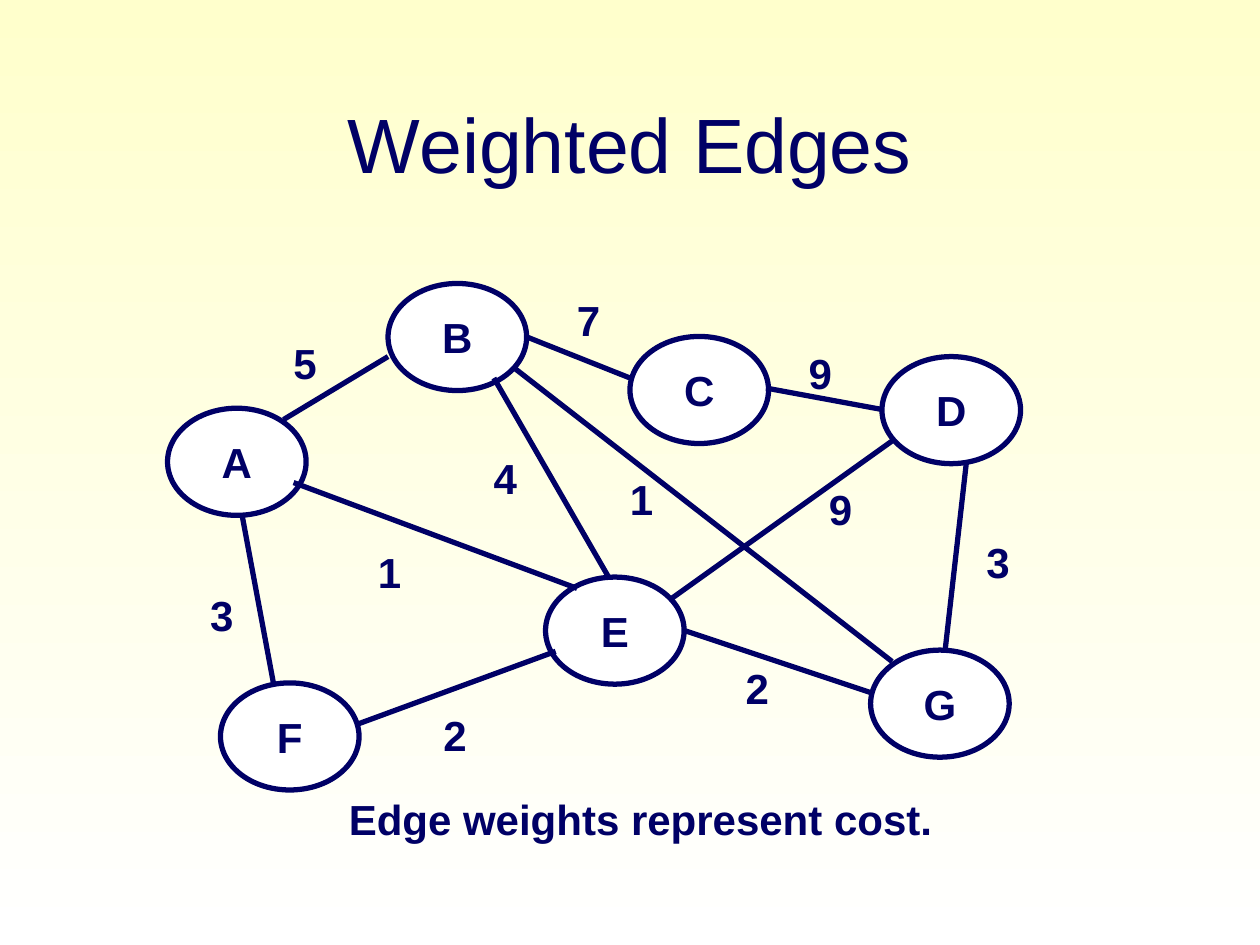
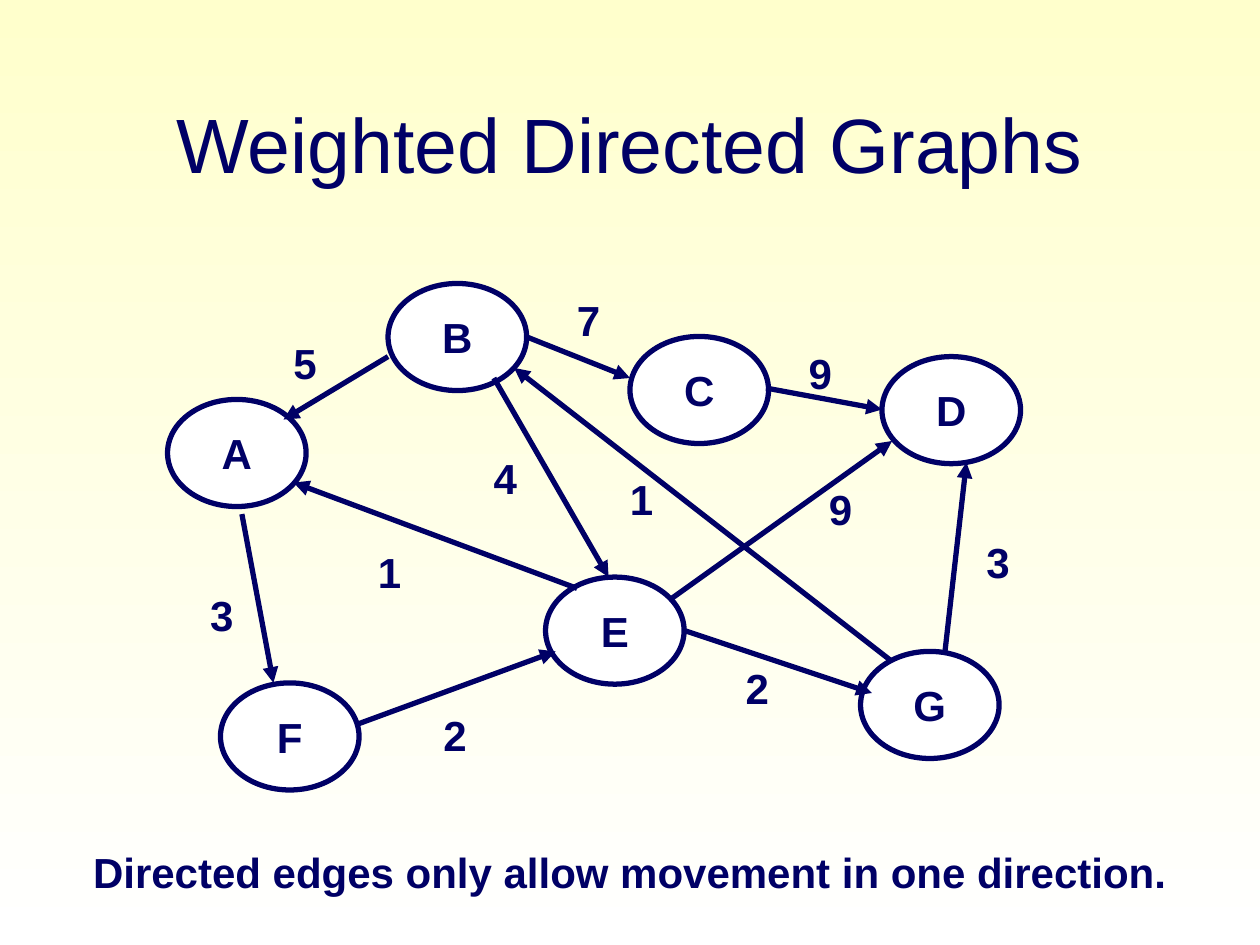
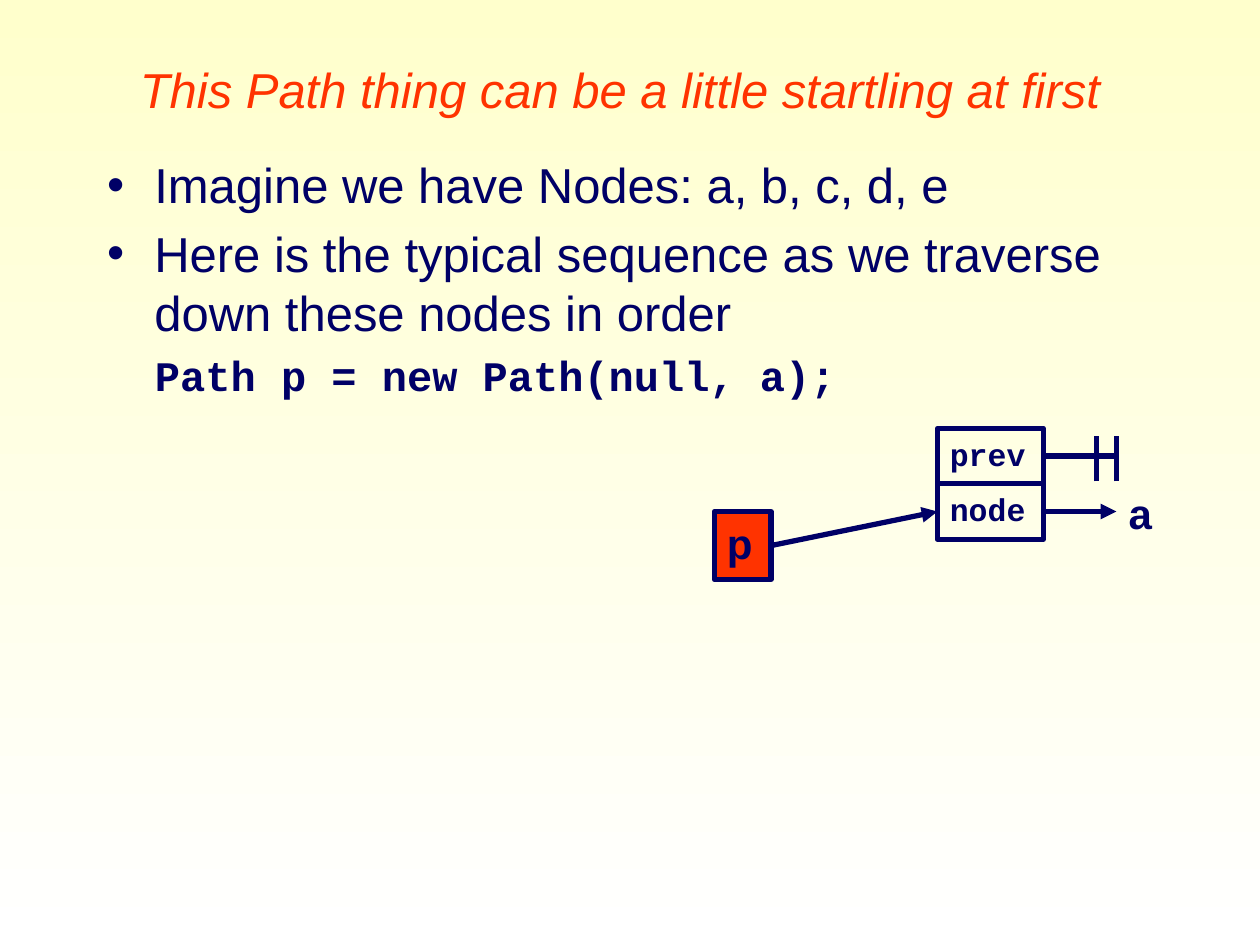
"""Build three slides on weighted graphs and path nodes."""
from dataclasses import dataclass

from lxml import etree
from pptx import Presentation
from pptx.dml.color import RGBColor
from pptx.enum.shapes import MSO_CONNECTOR, MSO_SHAPE
from pptx.enum.text import MSO_ANCHOR, MSO_AUTO_SIZE, PP_ALIGN
from pptx.oxml.ns import qn
from pptx.util import Inches, Pt

STRAIGHT = MSO_CONNECTOR.STRAIGHT
OVAL, RECTANGLE = MSO_SHAPE.OVAL, MSO_SHAPE.RECTANGLE
TOP, MIDDLE = MSO_ANCHOR.TOP, MSO_ANCHOR.MIDDLE
NO_FIT, GROW = MSO_AUTO_SIZE.NONE, MSO_AUTO_SIZE.SHAPE_TO_FIT_TEXT
LEFT, CENTER = PP_ALIGN.LEFT, PP_ALIGN.CENTER
LEFT_SIDE, RIGHT_SIDE = 1, 3
TITLE_AND_BODY, TITLE_ONLY = 1, 5


@dataclass(frozen=True)
class Theme:
    """Colours, fonts and sizes shared by the slides."""

    ink: RGBColor = RGBColor(0x00, 0x00, 0x66)
    accent: RGBColor = RGBColor(0xFF, 0x33, 0x00)
    cream: RGBColor = RGBColor(0xFF, 0xFF, 0xCC)
    white: RGBColor = RGBColor(0xFF, 0xFF, 0xFF)
    sans: str = "Arial"
    mono: str = "Courier New"
    title: int = 44
    body: int = 28
    label: int = 24
    field: int = 18
    stroke: int = 3


THEME = Theme()
TITLE_BOX = (0.75, 0.67, 8.5, 0.92)
GRAPH_ORIGIN = (1, 2)
NODE_SIZE = (1.1, 0.85)
LABEL_SIZE = (0.39, 0.5)
NODES = {
    "B": (2.08, 0.25), "F": (0.75, 3.42), "C": (4, 0.67), "A": (0.33, 1.24),
    "E": (3.33, 2.58), "G": (5.91, 3.16), "D": (6, 0.83),
}
DIRECTED_NODES = {**NODES, "A": (0.33, 1.17), "G": (5.83, 3.17)}
EDGES = [
    ((0.92, 2.08), (1.17, 3.42), "3", (0.57, 2.63)),
    ((1.83, 3.75), (3.41, 3.17), "2", (2.42, 3.58)),
    ((3.58, 2.67), (1.33, 1.83), "1", (1.9, 2.29)),
    ((2.08, 0.83), (1.25, 1.33), "5", (1.23, 0.63)),
    ((2.92, 1), (3.83, 2.58), "4", (2.82, 1.54)),
    ((4.42, 3), (5.92, 3.5), "2", (4.82, 3.21)),
    ((6.08, 3.25), (3.08, 0.92), "1", (3.9, 1.71)),
    ((4.33, 2.75), (6.08, 1.5), "9", (5.48, 1.79)),
    ((5.08, 1.08), (6, 1.25), "9", (5.32, 0.71)),
    ((6.5, 3.17), (6.67, 1.67), "3", (6.73, 2.21)),
    ((3.17, 0.67), (4, 1), "7", (3.48, 0.29)),
]


def shift(origin, point):
    """Return a point placed relative to an origin."""
    return origin[0] + point[0], origin[1] + point[1]


def inches(*values):
    """Convert several numbers to lengths."""
    return [Inches(value) for value in values]


def add_span(para, text, size, color=THEME.ink, font=THEME.sans, bold=False, italic=False):
    """Add one formatted run to a paragraph."""
    span = para.add_run()
    span.text = text
    span.font.name, span.font.size = font, Pt(size)
    span.font.bold, span.font.italic = bold, italic
    span.font.color.rgb = color


def add_label(page, text, place, size=LABEL_SIZE):
    """Add a bold unwrapped text box."""
    box = page.shapes.add_textbox(*inches(*place, *size))
    box.text_frame.word_wrap = False
    box.text_frame.auto_size = GROW
    add_span(box.text_frame.paragraphs[0], text, THEME.label, bold=True)


def add_box(page, kind, text, place, size, fill=None, font=THEME.sans,
            text_size=THEME.label, align=LEFT, anchor=TOP):
    """Add an outlined shape holding a bold label."""
    box = page.shapes.add_shape(kind, *inches(*place, *size))
    box.shadow.inherit = False
    if fill is None:
        box.fill.background()
    else:
        box.fill.solid()
        box.fill.fore_color.rgb = fill
    box.line.color.rgb, box.line.width = THEME.ink, Pt(THEME.stroke)
    frame = box.text_frame
    frame.word_wrap, frame.vertical_anchor = False, anchor
    para = frame.paragraphs[0]
    para.alignment = align
    add_span(para, text, text_size, font=font, bold=True)
    return box


def add_line(page, start, end, arrow=False):
    """Add a straight line with an optional arrowhead at its end."""
    line = page.shapes.add_connector(STRAIGHT, *inches(*start, *end))
    line.line.color.rgb, line.line.width = THEME.ink, Pt(THEME.stroke)
    properties = line._element.spPr
    if arrow:
        etree.SubElement(properties.find(qn("a:ln")), qn("a:tailEnd"), type="triangle")
    etree.SubElement(properties, qn("a:effectLst"))
    return line


def place_holder(holder, box, anchor):
    """Move a placeholder and return its text frame."""
    holder.left, holder.top, holder.width, holder.height = inches(*box)
    frame = holder.text_frame
    frame.auto_size, frame.vertical_anchor = NO_FIT, anchor
    return frame


def set_title(page, text, box=TITLE_BOX, wrap=True, **style):
    """Fill the title placeholder."""
    frame = place_holder(page.shapes.title, box, MIDDLE)
    frame.word_wrap = wrap
    para = frame.paragraphs[0]
    para.alignment = CENTER
    add_span(para, text, **{"size": THEME.title, **style})


def draw_graph(page, origin, nodes, directed):
    """Draw the nodes, edges and edge weights."""
    for name, place in nodes.items():
        add_box(page, OVAL, name, shift(origin, place), NODE_SIZE, THEME.white,
                align=CENTER, anchor=MIDDLE)
    for start, end, _, _ in EDGES:
        add_line(page, shift(origin, start), shift(origin, end), directed)
    for _, _, weight, place in EDGES:
        add_label(page, weight, shift(origin, place))


def draw_list(page, box):
    """Fill the body placeholder with two bullets and a line of code."""
    frame = place_holder(page.placeholders[1], box, TOP)
    first = frame.paragraphs[0]
    first.space_before = Pt(0)
    add_span(first, "Imagine we have Nodes: a, b, c, d, e", THEME.body)
    add_span(frame.add_paragraph(),
             "Here is the typical sequence as we traverse down these nodes in order",
             THEME.body)
    code = frame.add_paragraph()
    properties = code._p.get_or_add_pPr()
    properties.set("marL", str(Inches(0.38)))
    properties.set("indent", "0")
    etree.SubElement(properties, qn("a:buNone"))
    add_span(code, "Path p = new Path(null, a);", THEME.label, font=THEME.mono, bold=True)


def draw_path(page, origin):
    """Draw the path variable, its record and the null mark."""
    width, height = 0.84, 0.44
    prev, node = [
        add_box(page, RECTANGLE, name, shift(origin, (1.77, row * height)),
                (width, height), font=THEME.mono, text_size=THEME.field)
        for row, name in enumerate(("prev", "node"))
    ]
    add_label(page, "a", shift(origin, (3.19, 0.42)))
    variable = add_box(page, RECTANGLE, "p", shift(origin, (0, 0.66)), (0.45, 0.54),
                       THEME.accent)
    for field, middle, arrow in ((prev, 0.22, False), (node, 0.66, True)):
        line = add_line(page, shift(origin, (2.61, middle)),
                        shift(origin, (3.19, middle)), arrow)
        line.begin_connect(field, RIGHT_SIDE)
    for bar in (3.03, 3.19):
        add_line(page, shift(origin, (bar, 0.42)), shift(origin, (bar, 0.06)))
    pointer = add_line(page, shift(origin, (0.45, 0.93)), shift(origin, (1.77, 0.66)), True)
    pointer.begin_connect(variable, RIGHT_SIDE)
    pointer.end_connect(node, LEFT_SIDE)


def graph_slide(deck, title, nodes, directed, caption, place, size):
    """Add a slide with a graph and a caption."""
    page = deck.slides.add_slide(deck.slide_layouts[TITLE_ONLY])
    set_title(page, title)
    draw_graph(page, GRAPH_ORIGIN, nodes, directed)
    add_label(page, caption, place, size)


def path_slide(deck):
    """Add the slide about the path record."""
    page = deck.slides.add_slide(deck.slide_layouts[TITLE_AND_BODY])
    set_title(page, "This Path thing can be a little startling at first",
              (1, 0.42, 7.84, 0.57), wrap=False, size=THEME.body,
              color=THEME.accent, italic=True)
    draw_list(page, (0.75, 1.18, 8.5, 5.88))
    draw_path(page, (5.67, 3.4))


def set_background(deck):
    """Give the master a gradient from cream down to white."""
    fill = deck.slide_master.background.fill
    fill.gradient()
    fill.gradient_angle = 270
    for stop, color in zip(fill.gradient_stops, (THEME.cream, THEME.white)):
        stop.color.rgb = color


def main():
    """Build and save the deck."""
    deck = Presentation()
    deck.slide_width, deck.slide_height = inches(10, 7.5)
    set_background(deck)
    graph_slide(deck, "Weighted Edges", NODES, False,
                "Edge weights represent cost.", (2.67, 6.25), (4.83, 0.5))
    graph_slide(deck, "Weighted Directed Graphs", DIRECTED_NODES, True,
                "Directed edges only allow movement in one direction.",
                (0.64, 6.67), (8.72, 0.5))
    path_slide(deck)
    deck.save("out.pptx")


if __name__ == "__main__":
    main()
